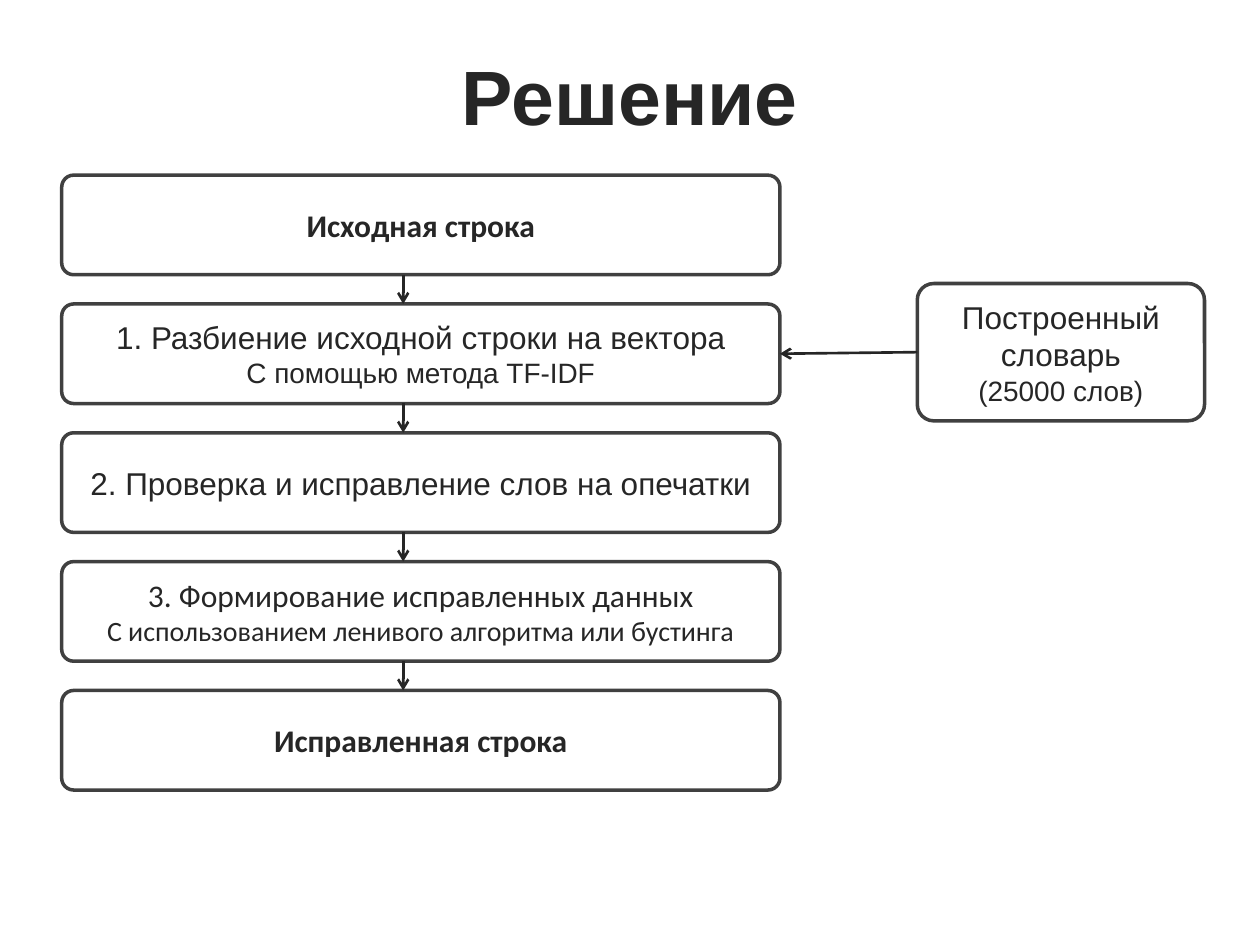
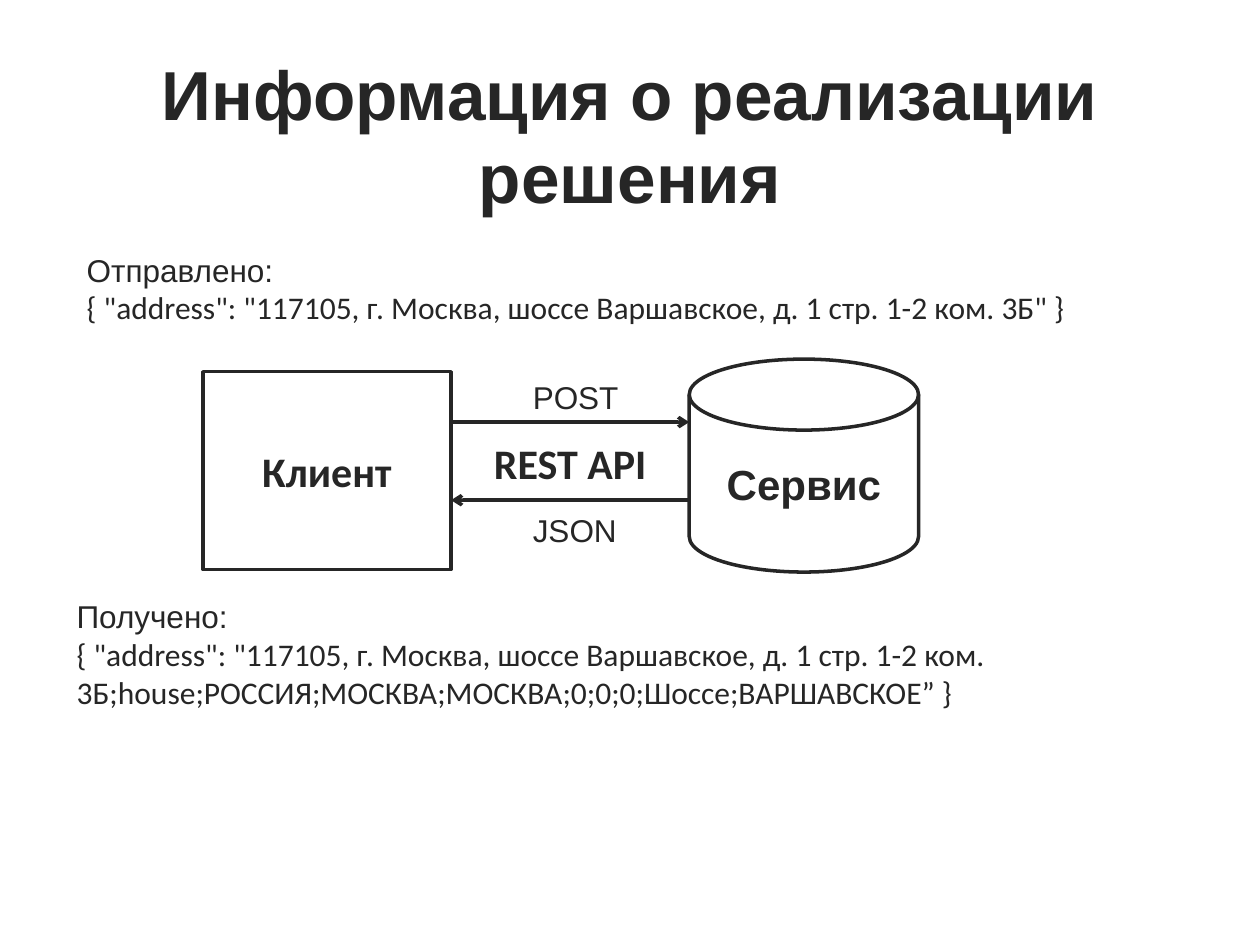
import pptx
import pptx.util
import pptx.dml.color
import pptx.enum.shapes
import pptx.enum.text
import pptx.oxml
import pptx.oxml.ns
from pptx.util import Inches

INK = "262626"
STEP_BORDER = "404040"
SHAPES = pptx.enum.shapes.MSO_SHAPE
CENTER = pptx.enum.text.PP_ALIGN.CENTER
LEFT = pptx.enum.text.PP_ALIGN.LEFT
MIDDLE = pptx.enum.text.MSO_ANCHOR.MIDDLE
TOP = pptx.enum.text.MSO_ANCHOR.TOP

STEP_LEFT, STEP_WIDTH, STEP_HEIGHT = 0.49, 5.7, 0.79
FIRST_TOP, LAST_TOP = 1.39, 5.48
ARROW_X = 3.2


def color(hex_string):
    return pptx.dml.color.RGBColor.from_string(hex_string)


def write(shape, lines, align=CENTER, anchor=MIDDLE, wrap=True):
    frame = shape.text_frame
    frame.word_wrap = wrap
    frame.vertical_anchor = anchor
    for index, (text, size, font_name, bold) in enumerate(lines):
        para = frame.paragraphs[0] if index == 0 else frame.add_paragraph()
        para.text = text
        para.alignment = align
        para.font.size = pptx.util.Pt(size)
        para.font.name = font_name
        para.font.bold = bold
        para.font.color.rgb = color(INK)


def add_page(deck, title, top, size):
    page = deck.slides.add_slide(deck.slide_layouts[5])
    heading = page.shapes.title
    heading.left, heading.top = Inches(0.5), Inches(top)
    heading.width, heading.height = Inches(9), Inches(1.25)
    write(heading, [(title, size, "Arial", True)])
    return page


def add_box(page, kind, left, top, width, height, lines, border=INK):
    box = page.shapes.add_shape(kind, Inches(left), Inches(top), Inches(width), Inches(height))
    box.shadow.inherit = False
    box.fill.background()
    box.line.color.rgb = color(border)
    box.line.width = pptx.util.Pt(2)
    write(box, lines)
    return box


def add_step(page, left, top, width, height, lines):
    box = add_box(page, SHAPES.ROUNDED_RECTANGLE, left, top, width, height, lines, STEP_BORDER)
    box.adjustments[0] = 0.12
    return box


def add_label(page, left, top, width, height, lines, align=LEFT, wrap=True):
    label = page.shapes.add_textbox(Inches(left), Inches(top), Inches(width), Inches(height))
    write(label, lines, align, TOP, wrap)


def add_arrow(page, start, end, width):
    arrow = page.shapes.add_connector(
        pptx.enum.shapes.MSO_CONNECTOR.STRAIGHT, *map(Inches, start + end))
    arrow.line.color.rgb = color(INK)
    arrow.line.width = pptx.util.Pt(width)
    properties = arrow.element.spPr
    outline = properties.find(pptx.oxml.ns.qn("a:ln"))
    namespace = pptx.oxml.ns.nsdecls("a")
    outline.append(pptx.oxml.parse_xml(f'<a:tailEnd {namespace} type="arrow"/>'))
    properties.append(pptx.oxml.parse_xml(f"<a:effectLst {namespace}/>"))
    return arrow


def build_solution(deck):
    page = add_page(deck, "Решение", 0.13, 44)
    steps = [
        [("Исходная строка", 18, "Calibri", True)],
        [("1. Разбиение исходной строки на вектора", 18, "Arial", False),
         ("С помощью метода TF-IDF", 16, "Arial", False)],
        [("2. Проверка и исправление слов на опечатки", 18, "Arial", False)],
        [("3. Формирование исправленных данных", 18, "Calibri", False),
         ("С использованием ленивого алгоритма или бустинга", 16, "Calibri", False)],
        [("Исправленная строка", 18, "Calibri", True)],
    ]
    pitch = (LAST_TOP - FIRST_TOP) / (len(steps) - 1)
    tops = [FIRST_TOP + index * pitch for index in range(len(steps))]
    boxes = [add_step(page, STEP_LEFT, top, STEP_WIDTH, STEP_HEIGHT, lines)
             for top, lines in zip(tops, steps)]
    for top, next_top in zip(tops, tops[1:]):
        add_arrow(page, (ARROW_X, top + STEP_HEIGHT), (ARROW_X, next_top), 1.5)

    dictionary = add_step(page, 7.28, 2.25, 2.28, 1.09, [
        ("Построенный словарь", 18, "Arial", False),
        ("(25000 слов)", 16, "Arial", False)])
    lookup = add_arrow(page, (7.28, 2.8), (6.19, 2.81), 1.5)
    lookup.begin_connect(dictionary, 1)
    lookup.end_connect(boxes[1], 3)


def build_implementation(deck):
    page = add_page(deck, "Информация о реализации решения", 0.44, 39.6)
    client_right, service_left = 3.58, 5.47
    add_box(page, SHAPES.RECTANGLE, 1.61, 2.95, 1.97, 1.57,
            [("Клиент", 24, "Calibri", True)])
    add_box(page, SHAPES.FLOWCHART_MAGNETIC_DISK, service_left, 2.85, 1.82, 1.69,
            [("Сервис", 24, "Arial", True)])
    add_arrow(page, (client_right, 3.35), (service_left, 3.35), 2)
    add_arrow(page, (service_left, 3.97), (client_right, 3.97), 2)
    add_label(page, client_right, 3.42, service_left - client_right, 0.5,
              [("REST API", 24, "Calibri", True)], CENTER)
    for text, top in (("POST", 2.95), ("JSON", 4.01)):
        add_label(page, 4.13, top, 0.89, 0.4, [(text, 18, "Arial", False)], wrap=False)

    address = '{ "address": "117105, г. Москва, шоссе Варшавское, д. 1 стр. 1-2 ком. 3Б'
    add_label(page, 0.59, 1.94, 8.06, 0.71, [
        ("Отправлено:", 18, "Arial", False),
        (address + '" }', 18, "Calibri", False)], wrap=False)
    add_label(page, 0.51, 4.69, 8.14, 1.01, [
        ("Получено:", 18, "Arial", False),
        (address + ";house;РОССИЯ;МОСКВА;МОСКВА;0;0;0;Шоссе;ВАРШАВСКОЕ” }",
         18, "Calibri", False)])


def main():
    deck = pptx.Presentation()
    deck.slide_width, deck.slide_height = Inches(10), Inches(7.5)
    build_solution(deck)
    build_implementation(deck)
    deck.save("out.pptx")


if __name__ == "__main__":
    main()
